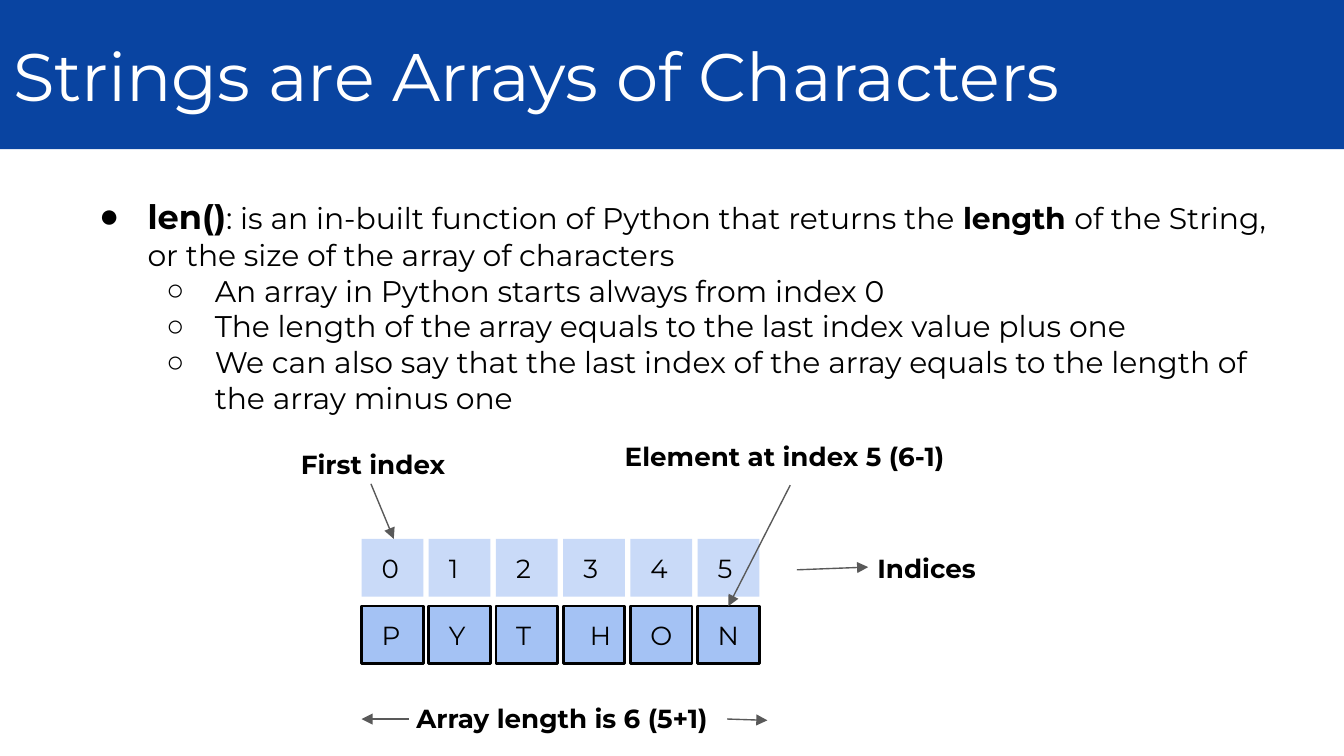
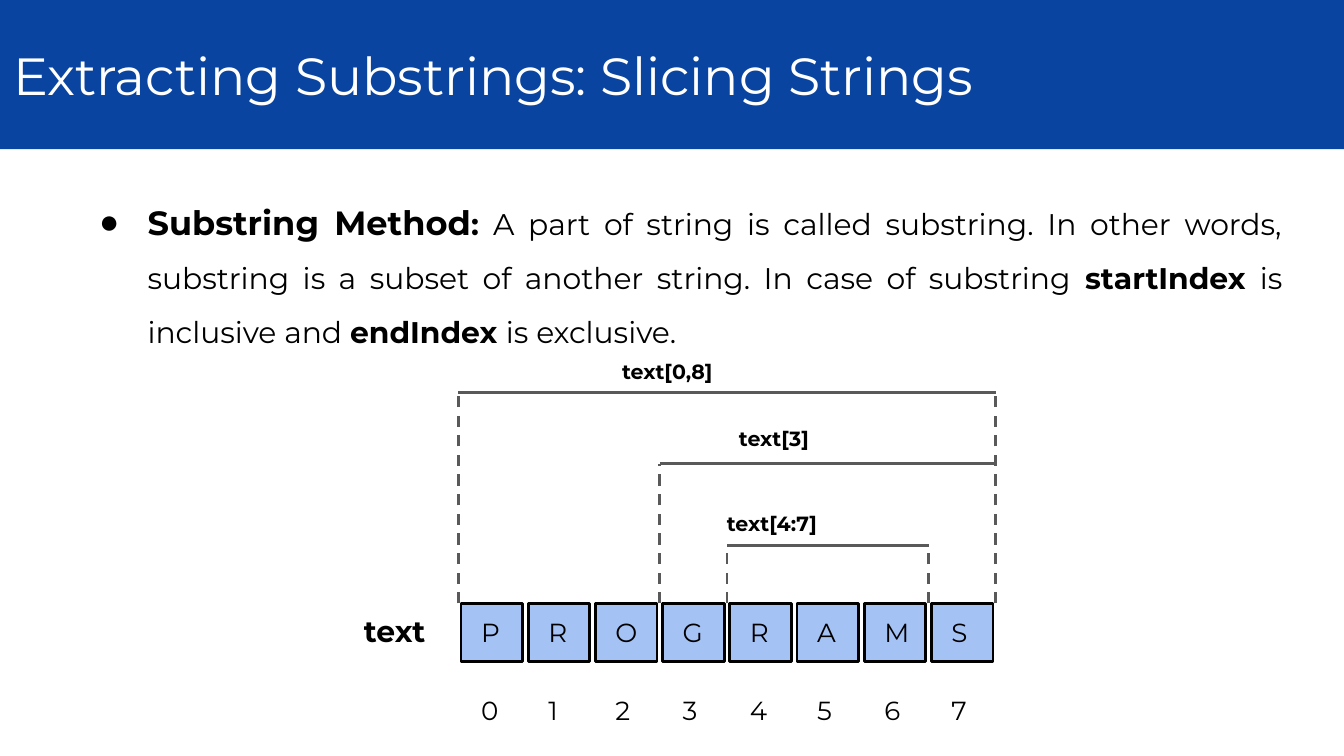
from lxml import etree
from pptx import Presentation
from pptx.dml.color import RGBColor
from pptx.enum.dml import MSO_LINE
from pptx.enum.shapes import MSO_CONNECTOR, MSO_SHAPE
from pptx.enum.text import MSO_ANCHOR, PP_ALIGN
from pptx.oxml.ns import qn
from pptx.util import Inches, Pt

BAND_BLUE = RGBColor(0x09, 0x44, 0xA1)
LETTER_BLUE = RGBColor(0xA4, 0xC2, 0xF4)
INDEX_BLUE = RGBColor(0xC9, 0xDA, 0xF8)
WHITE = RGBColor(0xFF, 0xFF, 0xFF)
BLACK = RGBColor(0, 0, 0)
GREY = RGBColor(0x59, 0x59, 0x59)
FONT = "Montserrat"
BULLET_FONT = "Arial"

LEFT, JUSTIFY = PP_ALIGN.LEFT, PP_ALIGN.JUSTIFY
TOP, MIDDLE = MSO_ANCHOR.TOP, MSO_ANCHOR.MIDDLE
RECTANGLE, STRAIGHT, DASH = MSO_SHAPE.RECTANGLE, MSO_CONNECTOR.STRAIGHT, MSO_LINE.DASH

SLIDE_WIDTH = 10
SLIDE_HEIGHT = SLIDE_WIDTH * 9 / 16
BAND_HEIGHT = 1.11
BODY_LEFT, BODY_WIDTH = 0.5, 9.14
COLUMN = 0.5
CELL_WIDTH, CELL_HEIGHT = 0.46, 0.43
CELL_PADDING = 0.15
BULLETS = "●○"
LABEL_SIZE = 14


def add_spans(para, spans, size=LABEL_SIZE, bold=False, color=BLACK):
    """Fill a paragraph from strings or (string, format) pairs."""
    for item in spans:
        text, own = (item, {}) if isinstance(item, str) else item
        span = para.add_run()
        span.text = text
        span.font.name = FONT
        span.font.size = Pt(own.get("size", size))
        span.font.bold = own.get("bold", bold)
        span.font.color.rgb = color


def set_frame(shape, anchor=TOP, left_margin=0.1, right_margin=0.1):
    frame = shape.text_frame
    frame.word_wrap = True
    frame.vertical_anchor = anchor
    frame.margin_left, frame.margin_right = Inches(left_margin), Inches(right_margin)
    frame.margin_top = frame.margin_bottom = Inches(0.1)
    return frame


def add_label(page, text, left, top, width, height=CELL_HEIGHT, **style):
    box = page.shapes.add_textbox(*map(Inches, (left, top, width, height)))
    add_spans(set_frame(box).paragraphs[0], [text], bold=True, **style)


def add_box(page, text, left, top, width, height, fill, outlined=False,
            anchor=TOP, left_margin=0.1, right_margin=0.1, **style):
    box = page.shapes.add_shape(RECTANGLE, *map(Inches, (left, top, width, height)))
    box.shadow.inherit = False
    box.fill.solid()
    box.fill.fore_color.rgb = fill
    if outlined:
        box.line.color.rgb = BLACK
        box.line.width = Pt(1.5)
    else:
        box.line.fill.background()
    para = set_frame(box, anchor, left_margin, right_margin).paragraphs[0]
    para.alignment = LEFT
    add_spans(para, [text], **style)


def add_cells(page, symbols, left, top, fill, outlined=False, paddings=None):
    """Draw one cell per symbol; paddings overrides the left padding by column."""
    for column, symbol in enumerate(symbols):
        add_box(page, symbol, left + column * COLUMN, top, CELL_WIDTH, CELL_HEIGHT,
                fill, outlined, right_margin=0,
                left_margin=(paddings or {}).get(column, CELL_PADDING))


def add_line(page, start, end, width=1.5, dashed=False, arrow=False):
    line = page.shapes.add_connector(STRAIGHT, *map(Inches, (*start, *end)))
    line.line.color.rgb = GREY
    line.line.width = Pt(width)
    if dashed:
        line.line.dash_style = DASH
    if arrow:
        outline = line.line._get_or_add_ln()
        etree.SubElement(outline, qn("a:tailEnd"), type="triangle")
    etree.SubElement(line._element.spPr, qn("a:effectLst"))


def add_bullet(para, level):
    para.level = level
    properties = para._p.get_or_add_pPr()
    properties.set("marL", str(Inches(0.5 * (level + 1))))
    properties.set("indent", str(Inches(-0.36)))
    color = etree.SubElement(properties, qn("a:buClr"))
    etree.SubElement(color, qn("a:srgbClr"), val=str(BLACK))
    etree.SubElement(properties, qn("a:buFont"), typeface=BULLET_FONT)
    etree.SubElement(properties, qn("a:buChar"), char=BULLETS[level])


def add_body(page, items, top, height, align=LEFT, spacing=1.0):
    """Write a bulleted list from (level, spans) pairs."""
    box = page.shapes.add_textbox(*map(Inches, (BODY_LEFT, top, BODY_WIDTH, height)))
    frame = set_frame(box)
    for number, (level, spans) in enumerate(items):
        para = frame.add_paragraph() if number else frame.paragraphs[0]
        add_bullet(para, level)
        para.alignment = align
        para.line_spacing = spacing
        add_spans(para, spans, size=16)


def add_page(deck, title, size):
    page = deck.slides.add_slide(deck.slide_layouts[6])
    add_box(page, title, 0, 0, SLIDE_WIDTH, BAND_HEIGHT, BAND_BLUE,
            anchor=MIDDLE, size=size, color=WHITE)
    return page


def build_array_page(deck):
    page = add_page(deck, "Strings are Arrays of Characters", 36)
    add_body(page, [
        (0, [("len()", {"size": 18, "bold": True}),
             ": is an in-built function of Python that returns the ",
             ("length ", {"bold": True}),
             "of the String, or the size of the array of characters"]),
        (1, ["An array in Python starts always from index 0"]),
        (1, ["The length of the array equals to the last index value plus one"]),
        (1, ["We can also say that the last index of the array equals to "
             "the length of the array minus one"]),
    ], top=1.36, height=3.7)

    array_left, index_top, letter_top = 2.69, 4.01, 4.51
    add_cells(page, "PYTHON", array_left, letter_top, LETTER_BLUE,
              outlined=True, paddings={3: 0.2})
    add_cells(page, "012345", array_left, index_top, INDEX_BLUE)

    for text, left, top, width in (
        ("Array length is 6 (5+1)", 3, 5.13, 2.4),
        ("Indices", 6.43, index_top, 0.97),
        ("Element at index 5 (6-1)", 4.55, 3.18, 2.65),
        ("First index", 2.14, 3.24, 1.67),
    ):
        add_label(page, text, left, top, width)
    for start, end in (
        ((3.04, 5.35), (array_left, 5.35)),
        ((5.41, 5.35), (5.71, 5.36)),
        ((5.93, 4.24), (6.46, 4.22)),
        ((5.88, 3.61), (5.42, letter_top)),
        ((2.76, 3.6), (2.93, index_top)),
    ):
        add_line(page, start, end, width=0.75, arrow=True)


def build_slicing_page(deck):
    page = add_page(deck, "Extracting Substrings: Slicing Strings", 28)
    bold = {"bold": True}
    add_body(page, [
        (0, [("Substring Method", {"size": 18, "bold": True}), (": ", bold),
             "A part of string is called substring. In other words, substring is "
             "a subset of another string. In case of substring ",
             ("startIndex ", bold), "is inclusive and ",
             ("endIndex ", bold), "is exclusive."]),
    ], top=1.25, height=1.45, align=JUSTIFY, spacing=1.5)

    word_left, word_top = 3.43, 4.49
    add_cells(page, "PROGRAMS", word_left, word_top, LETTER_BLUE, outlined=True)
    add_cells(page, "01234567", word_left, 5.07, WHITE)
    add_label(page, "text", 2.61, 4.46, 0.72, 0.47, size=16)

    edge_left = word_left - 0.02
    for text, label_left, label_top, label_width, first, last, top, dashed_columns in (
        ("text[0,8]", 4.53, 2.58, 1.68, 0, 8, 2.92, (0, 8)),
        ("text[3]", 5.4, 3.08, 1.52, 3, 8, 3.45, (3,)),
        ("text[4:7]", 5.31, 3.71, 1.68, 4, 7, 4.06, (4, 7)),
    ):
        add_label(page, text, label_left, label_top, label_width, 0.38, size=11)
        add_line(page, (edge_left + first * COLUMN, top),
                 (edge_left + last * COLUMN, top))
        for column in dashed_columns:
            edge = edge_left + column * COLUMN
            add_line(page, (edge, word_top), (edge, top), dashed=True)


def main():
    deck = Presentation()
    deck.slide_width, deck.slide_height = Inches(SLIDE_WIDTH), Inches(SLIDE_HEIGHT)
    build_array_page(deck)
    build_slicing_page(deck)
    deck.save("out.pptx")


if __name__ == "__main__":
    main()
